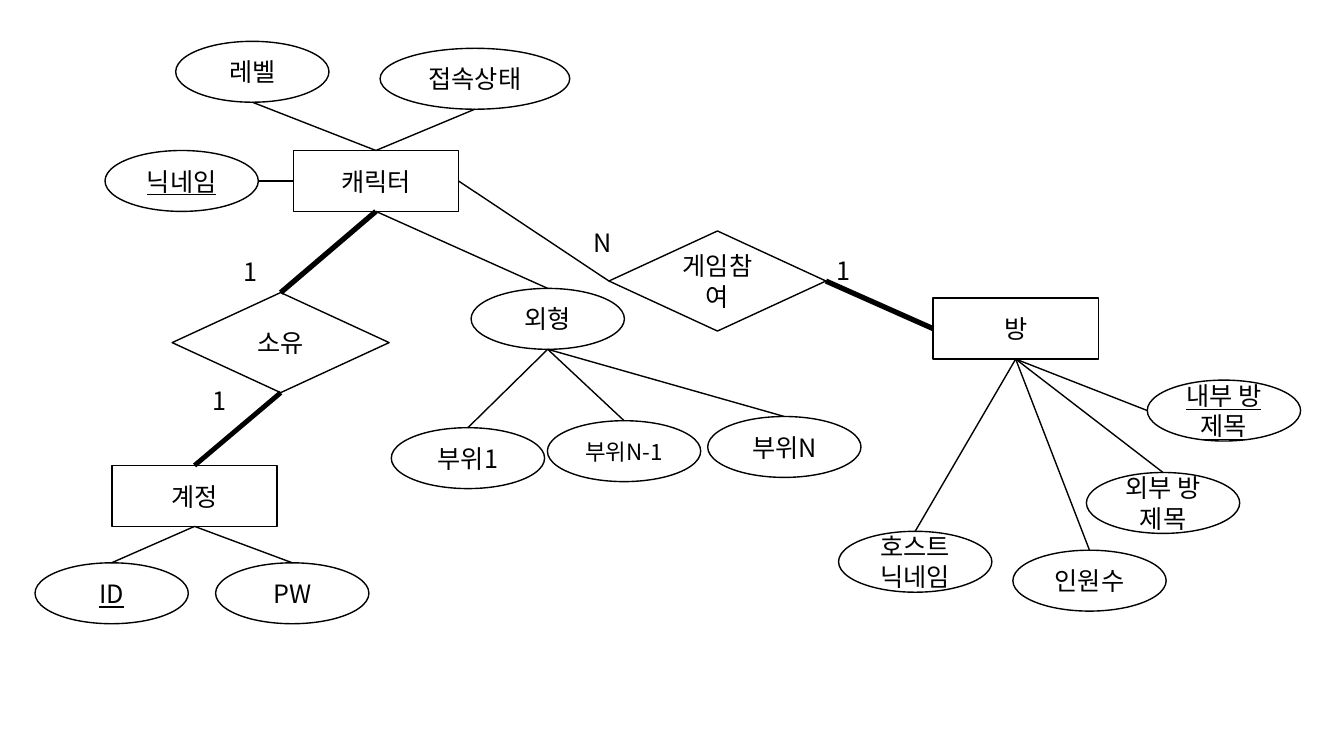
from dataclasses import dataclass

import lxml.etree
import pptx
import pptx.dml.color
import pptx.enum.shapes
import pptx.enum.text
import pptx.oxml.ns
import pptx.util

Pt = pptx.util.Pt
Shape = pptx.enum.shapes.MSO_SHAPE
Align = pptx.enum.text.PP_ALIGN
Anchor = pptx.enum.text.MSO_ANCHOR


@dataclass(frozen=True)
class Theme:
    font: str = "Noto Sans CJK KR"
    ink: pptx.dml.color.RGBColor = pptx.dml.color.RGBColor(0, 0, 0)
    paper: pptx.dml.color.RGBColor = pptx.dml.color.RGBColor(255, 255, 255)
    text_size: float = 18
    small_size: float = 16
    thin: float = 1
    thick: float = 3.75


THEME = Theme()


@dataclass(frozen=True)
class Node:
    """One part of the entity-relationship diagram, in points."""
    text: str
    left: float
    top: float
    width: float = 109.5
    height: float = 43.5
    preset: Shape = Shape.OVAL
    size: float = THEME.text_size
    underline: bool = False

    def side(self, name: str) -> tuple[float, float]:
        across, down = {"top": (0.5, 0), "bottom": (0.5, 1),
                        "left": (0, 0.5), "right": (1, 0.5)}[name]
        return self.left + across * self.width, self.top + down * self.height


@dataclass(frozen=True)
class Link:
    start: Node
    start_side: str
    end: Node
    end_side: str
    weight: float = THEME.thin


@dataclass(frozen=True)
class Cardinality:
    text: str
    left: float
    top: float


def entity(text: str, left: float, top: float) -> Node:
    return Node(text, left, top, width=118, preset=Shape.RECTANGLE)


def relation(text: str, left: float, top: float) -> Node:
    return Node(text, left, top, width=155, height=71.5, preset=Shape.DIAMOND)


# Entities and relations
character = entity("캐릭터", 209.5, 107.5)
account = entity("계정", 80, 332.5)
room = entity("방", 666.5, 213)
owns = relation("소유", 123, 209)
joins = relation("게임참여", 435, 165)

# Attributes
nickname = Node("닉네임", 75, 107.5, underline=True)
level = Node("레벨", 125.5, 29.5)
status = Node("접속상태", 271.5, 34.5, width=135.5)
look = Node("외형", 336.5, 206)
first_part = Node("부위1", 279.5, 305.5)
middle_part = Node("부위N-1", 391, 300.5, size=THEME.small_size)
last_part = Node("부위N", 505.5, 297.5)
account_id = Node("ID", 25, 402, underline=True)
password = Node("PW", 154, 402)
host = Node("호스트닉네임", 599, 379.5)
headcount = Node("인원수", 723.5, 393)
outer_title = Node("외부 방 제목", 776, 337.5)
inner_title = Node("내부 방 제목", 819.5, 271.5, underline=True)

NODES = [character, account, room, owns, joins, nickname, level, status, look,
         first_part, middle_part, last_part, account_id, password, host,
         headcount, outer_title, inner_title]

LINKS = [
    Link(nickname, "right", character, "left"),
    Link(level, "bottom", character, "top"),
    Link(status, "bottom", character, "top"),
    Link(character, "bottom", look, "top"),
    *(Link(look, "bottom", part, "top")
      for part in (first_part, middle_part, last_part)),
    *(Link(account, "bottom", field, "top") for field in (account_id, password)),
    *(Link(room, "bottom", field, "top")
      for field in (host, headcount, outer_title)),
    Link(room, "bottom", inner_title, "left"),
    Link(character, "right", joins, "left"),
    Link(joins, "right", room, "left", THEME.thick),
    Link(character, "bottom", owns, "top", THEME.thick),
    Link(owns, "bottom", account, "top", 3.5),
]

CARDINALITIES = [
    Cardinality("1", 167, 179.5),
    Cardinality("1", 144.5, 271.5),
    Cardinality("1", 590.5, 178.5),
    Cardinality("N", 417, 158.5),
]


def write_text(frame, text: str, *, size: float = THEME.text_size,
               underline: bool = False, align: Align = Align.LEFT,
               anchor: Anchor = Anchor.TOP) -> None:
    frame.word_wrap = True
    frame.vertical_anchor = anchor
    paragraph = frame.paragraphs[0]
    paragraph.alignment = align
    run = paragraph.add_run()
    run.text = text
    run.font.size = Pt(size)
    run.font.name = THEME.font
    run.font.color.rgb = THEME.ink
    if underline:
        run.font.underline = True
    # Hangul takes the East Asian typeface
    properties = run._r.get_or_add_rPr()
    lxml.etree.SubElement(properties, pptx.oxml.ns.qn("a:ea"), typeface=THEME.font)


def draw_node(slide, node: Node) -> None:
    shape = slide.shapes.add_shape(node.preset, Pt(node.left), Pt(node.top),
                                   Pt(node.width), Pt(node.height))
    shape.shadow.inherit = False
    shape.fill.solid()
    shape.fill.fore_color.rgb = THEME.paper
    shape.line.color.rgb = THEME.ink
    shape.line.width = Pt(THEME.thin)
    write_text(shape.text_frame, node.text, size=node.size,
               underline=node.underline, align=Align.CENTER, anchor=Anchor.MIDDLE)


def draw_link(slide, link: Link) -> None:
    points = (*link.start.side(link.start_side), *link.end.side(link.end_side))
    connector = slide.shapes.add_connector(
        pptx.enum.shapes.MSO_CONNECTOR.STRAIGHT, *map(Pt, points))
    connector.line.color.rgb = THEME.ink
    connector.line.width = Pt(link.weight)
    lxml.etree.SubElement(connector._element.spPr, pptx.oxml.ns.qn("a:effectLst"))


def draw_cardinality(slide, label: Cardinality) -> None:
    box = slide.shapes.add_textbox(Pt(label.left), Pt(label.top), Pt(25), Pt(29))
    write_text(box.text_frame, label.text)
    box.text_frame.auto_size = pptx.enum.text.MSO_AUTO_SIZE.SHAPE_TO_FIT_TEXT


def main() -> None:
    presentation = pptx.Presentation()
    presentation.slide_width = Pt(960)
    presentation.slide_height = Pt(540)
    slide = presentation.slides.add_slide(presentation.slide_layouts[6])

    for node in NODES:
        draw_node(slide, node)
    for link in LINKS:
        draw_link(slide, link)
    for label in CARDINALITIES:
        draw_cardinality(slide, label)

    presentation.save("out.pptx")


if __name__ == "__main__":
    main()
